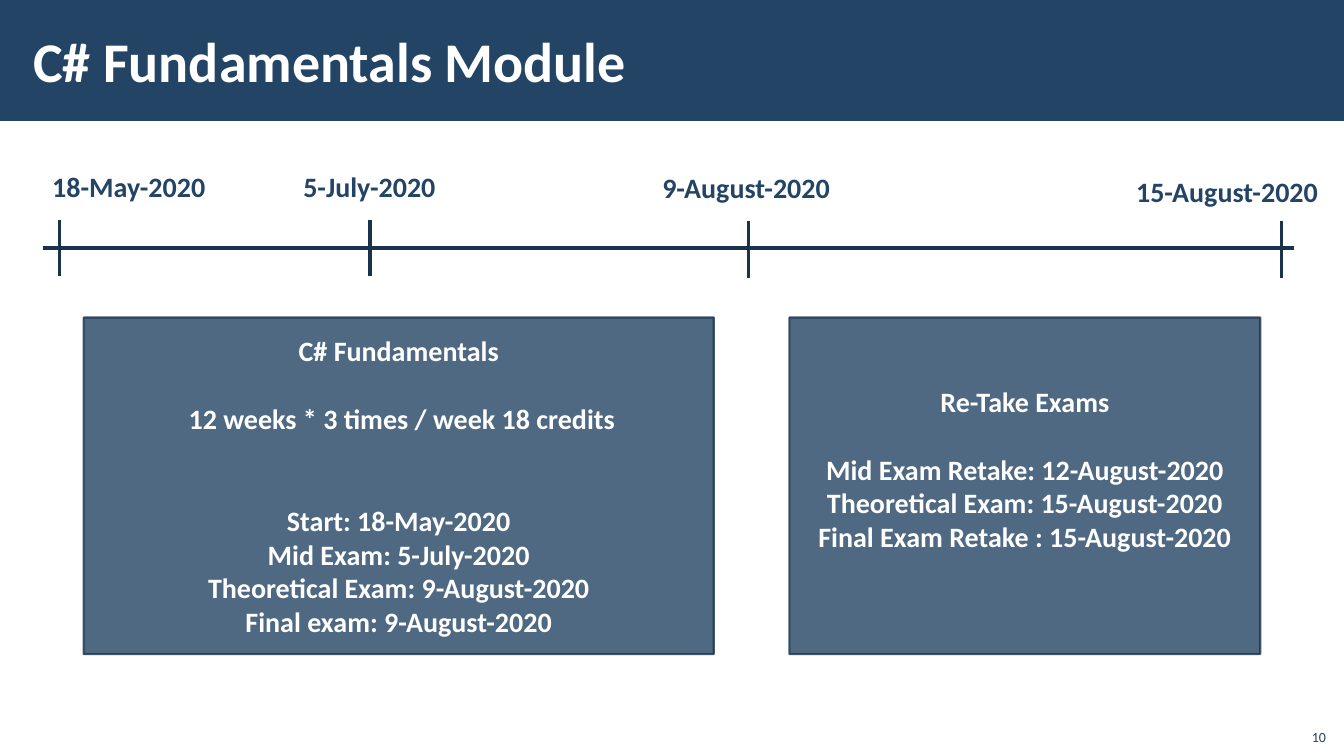
"""Build the C# Fundamentals Module timeline slide."""
import lxml.etree
import pptx
import pptx.util
import pptx.dml.color
import pptx.enum.shapes
import pptx.enum.text
import pptx.oxml.ns
from dataclasses import dataclass

TITLE = "C# Fundamentals Module"
PAGE_NUMBER = "10"
MILESTONES = [
    {"date": "18-May-2020", "tick": (59, 218, 274), "label": (42, 163, 174, 44)},
    {"date": "5-July-2020", "tick": (367, 218, 274), "label": (291, 163, 153, 44)},
    {"date": "9-August-2020", "tick": (742, 219, 276), "label": (647, 164, 189, 44)},
    {"date": "15-August-2020", "tick": (1271, 219, 276), "label": (1117, 168, 204, 44)},
]
PANELS = [
    {"left": 83, "width": 625, "bottom": 5, "lines": [
        ("C# Fundamentals", 0),
        (" 12 weeks * 3 times / week 18 credits", 1),
        ("Start: 18-May-2020", 2),
        ("Mid Exam: 5-July-2020", 0),
        ("Theoretical Exam: 9-August-2020", 0),
        ("Final exam: 9-August-2020", 0),
    ]},
    {"left": 783, "width": 467, "bottom": 39, "lines": [
        ("Re-Take Exams", 0),
        ("Mid Exam Retake: 12-August-2020", 1),
        ("Тheoretical Exam: 15-August-2020", 0),
        ("Final Exam Retake : 15-August-2020", 0),
    ]},
]
PANEL_TOP, PANEL_HEIGHT = 315, 334
AXIS_LEFT, AXIS_RIGHT, AXIS_TOP = 43, 1283, 246
EMU_PER_PX = 9144


@dataclass
class Theme:
    """Colours, type sizes and line widths of the slide."""
    font: str = "Calibri"
    navy: str = "234465"
    line: str = "1A334C"
    white: str = "FFFFFF"
    title: int = 40
    body: int = 20
    small: int = 10
    blank_line: float = 24.4
    axis: float = 2.25
    border: float = 1.5
    opacity: int = 80


THEME = Theme()
ALIGN = pptx.enum.text.PP_ALIGN
ANCHOR = pptx.enum.text.MSO_ANCHOR


def px(*lengths):
    """Turn px lengths into EMU."""
    return [pptx.util.Emu(length * EMU_PER_PX) for length in lengths]


def rgb(color):
    """Return a colour object for a hex string."""
    return pptx.dml.color.RGBColor.from_string(color)


def add_element(parent, tag, **attributes):
    """Append a drawing element to an XML parent."""
    lxml.etree.SubElement(parent, pptx.oxml.ns.qn(tag), **attributes)


def write(box, lines, *, size=THEME.body, color=THEME.navy, bold=True, align=ALIGN.LEFT,
          anchor=ANCHOR.TOP, wrap=True, insets=(10, 5, 10, 5)):
    """Fill a shape with (text, blank lines before) pairs."""
    frame = box.text_frame
    frame.word_wrap = wrap
    frame.vertical_anchor = anchor
    (frame.margin_left, frame.margin_top,
     frame.margin_right, frame.margin_bottom) = px(*insets)
    for index, (text, gap) in enumerate(lines):
        para = frame.add_paragraph() if index else frame.paragraphs[0]
        para.alignment = align
        para.space_before = pptx.util.Pt(gap * THEME.blank_line)
        span = para.add_run()
        span.text = text
        span.font.name = THEME.font
        span.font.size = pptx.util.Pt(size)
        span.font.bold = bold
        span.font.color.rgb = rgb(color)


def add_label(page, place, text, **style):
    """Add a one-line text box."""
    write(page.shapes.add_textbox(*px(*place)), [(text, 0)], **style)


def add_rectangle(page, place):
    """Add a navy rectangle with no border."""
    box = page.shapes.add_shape(pptx.enum.shapes.MSO_SHAPE.RECTANGLE, *px(*place))
    box.shadow.inherit = False
    box.fill.solid()
    box.fill.fore_color.rgb = rgb(THEME.navy)
    box.line.fill.background()
    return box


def add_line(page, *ends):
    """Add a straight timeline stroke."""
    stroke = page.shapes.add_connector(pptx.enum.shapes.MSO_CONNECTOR.STRAIGHT, *px(*ends))
    stroke.line.color.rgb = rgb(THEME.line)
    stroke.line.width = pptx.util.Pt(THEME.axis)
    add_element(stroke._element.spPr, "a:effectLst")


def add_panel(page, panel):
    """Add a translucent bordered panel with centred text."""
    box = add_rectangle(page, (panel["left"], PANEL_TOP, panel["width"], PANEL_HEIGHT))
    box.line.color.rgb = rgb(THEME.line)
    box.line.width = pptx.util.Pt(THEME.border)
    for color in list(box._element.spPr.iter(pptx.oxml.ns.qn("a:srgbClr"))):
        add_element(color, "a:alpha", val=str(THEME.opacity * 1000))
    write(box, panel["lines"], color=THEME.white, align=ALIGN.CENTER,
          anchor=ANCHOR.MIDDLE, insets=(10, 5, 10, panel["bottom"]))


def main():
    """Assemble and save the deck."""
    deck = pptx.Presentation()
    deck.slide_width, deck.slide_height = px(1333, 750)
    page = deck.slides.add_slide(deck.slide_layouts[6])
    add_rectangle(page, (0, 0, 1333, 120))
    add_label(page, (21, 11, 1063, 97), TITLE, size=THEME.title, color=THEME.white,
              anchor=ANCHOR.MIDDLE, insets=(12, 4, 12, 4))
    add_line(page, AXIS_LEFT, AXIS_TOP, AXIS_RIGHT, AXIS_TOP)
    for milestone in MILESTONES:
        x, top, bottom = milestone["tick"]
        add_line(page, x, top, x, bottom)
        add_label(page, milestone["label"], milestone["date"], wrap=False)
    for panel in PANELS:
        add_panel(page, panel)
    add_label(page, (1285, 712, 40, 32), PAGE_NUMBER, size=THEME.small, bold=False,
              align=ALIGN.RIGHT, anchor=ANCHOR.BOTTOM)
    deck.save("out.pptx")


if __name__ == "__main__":
    main()
